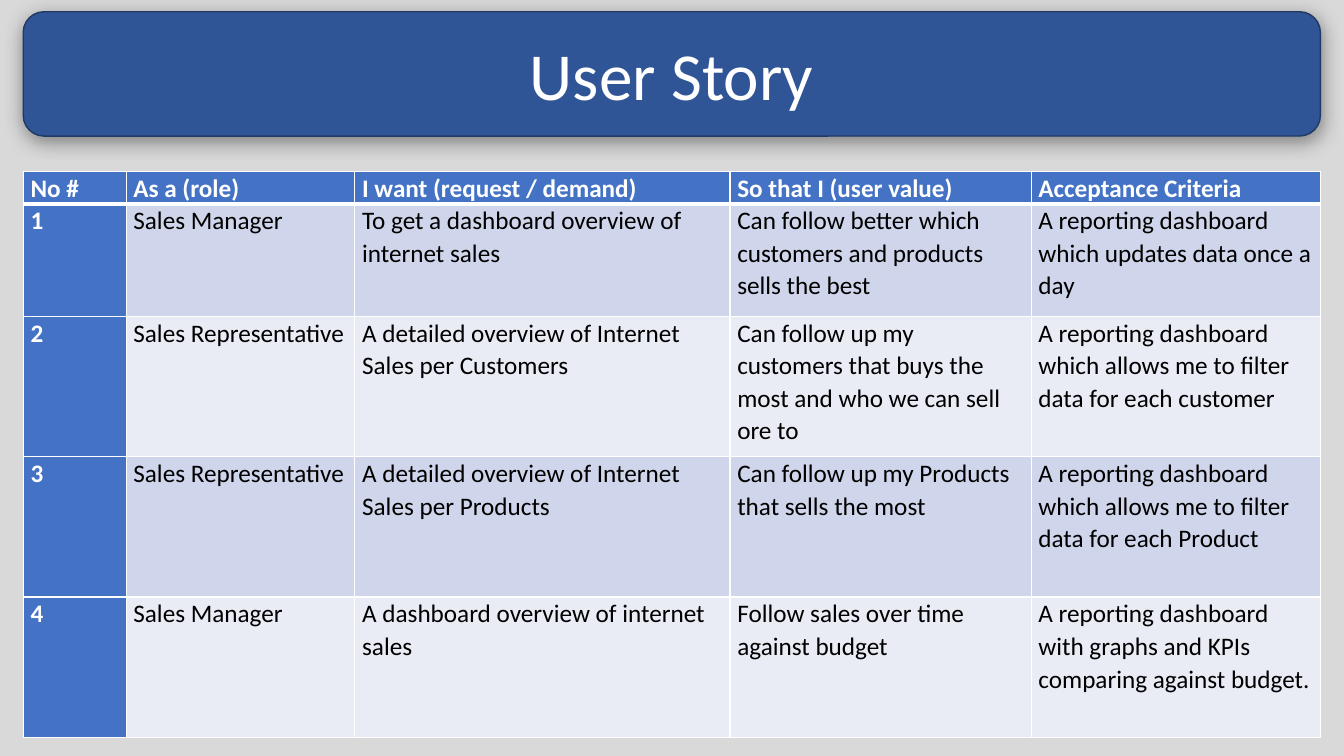
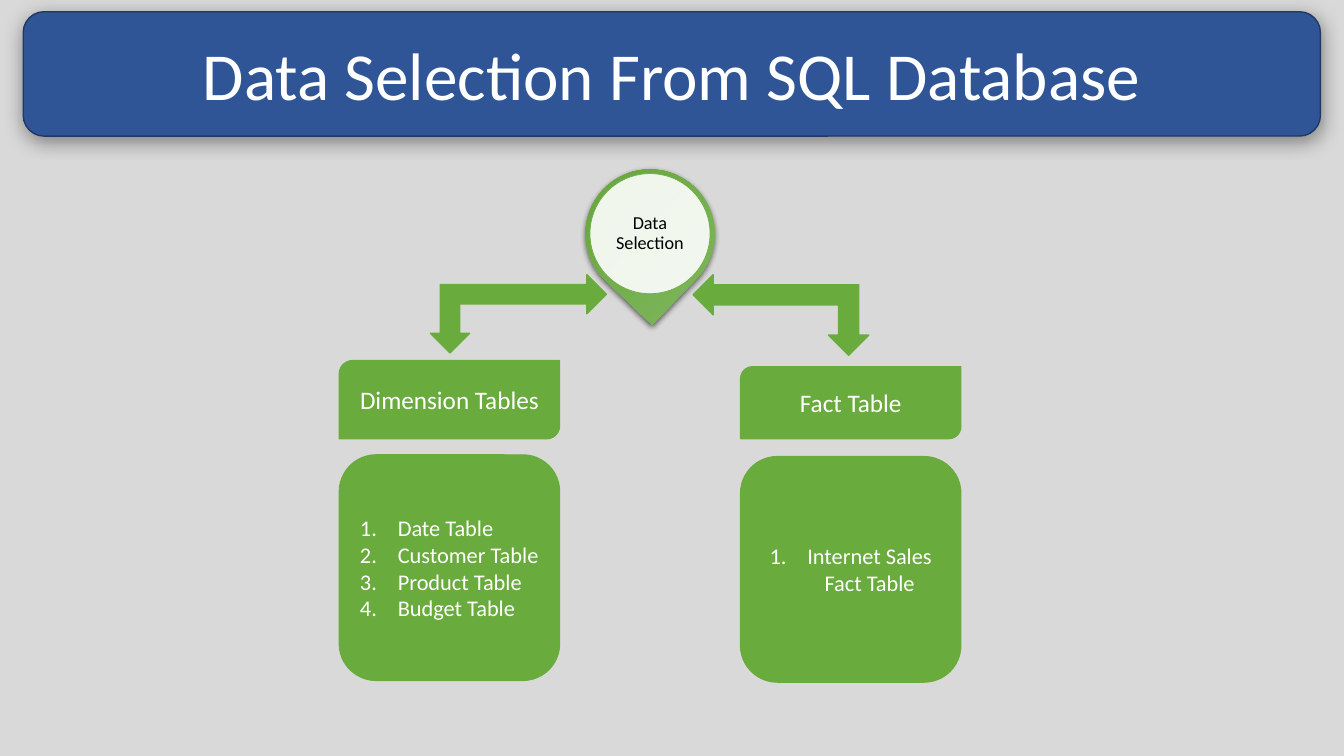
"""Build two slides: a user story table and a data selection diagram."""
from lxml import etree
from pptx import Presentation
from pptx.dml.color import RGBColor
from pptx.enum.shapes import MSO_SHAPE
from pptx.enum.text import MSO_ANCHOR, PP_ALIGN
from pptx.oxml.ns import qn
from pptx.util import Pt

LEFT, CENTER = PP_ALIGN.LEFT, PP_ALIGN.CENTER
MIDDLE = MSO_ANCHOR.MIDDLE
ROUNDED = MSO_SHAPE.ROUNDED_RECTANGLE
DIAGONAL = MSO_SHAPE.ROUND_2_DIAG_RECTANGLE
TEARDROP, OVAL = MSO_SHAPE.TEAR, MSO_SHAPE.OVAL
ELBOW_ARROW = MSO_SHAPE.LEFT_UP_ARROW

FONT = "Calibri"
COLORS = {
    "background": "D9D9D9",
    "title": "2F5597",
    "title_line": "203864",
    "header": "4472C4",
    "odd": "CFD5EA",
    "even": "E9EBF5",
    "green": "69AB3C",
    "ring": "70AD47",
    "drop_top": "81B861",
    "drop_bottom": "62A336",
    "white": "FFFFFF",
    "black": "000000",
}
RGB = {name: RGBColor.from_string(value) for name, value in COLORS.items()}


def write(tf, lines, size=18, color="white", bold=False, align=CENTER,
          spacing=None, numbered=False):
    tf.word_wrap = True
    for i, line in enumerate(lines):
        p = tf.paragraphs[0] if i == 0 else tf.add_paragraph()
        p.alignment = align
        if spacing:
            p.line_spacing = spacing
        if numbered:
            pPr = p._p.get_or_add_pPr()
            pPr.set("marL", str(Pt(27)))
            pPr.set("indent", str(-Pt(27)))
            etree.SubElement(pPr, qn("a:buFont"), typeface="+mj-lt")
            etree.SubElement(pPr, qn("a:buAutoNum"), type="arabicPeriod")
        r = p.add_run()
        r.text = line
        r.font.name = FONT
        r.font.size = Pt(size)
        r.font.bold = bold
        r.font.color.rgb = RGB[color]


def add_block(s, kind, box, fill="green", line="green", width=1, shadow=None):
    sp = s.shapes.add_shape(kind, *map(Pt, box))
    sp.fill.solid()
    sp.fill.fore_color.rgb = RGB[fill]
    if line:
        sp.line.color.rgb = RGB[line]
        sp.line.width = Pt(width)
    else:
        sp.line.fill.background()
    sp.shadow.inherit = False
    if shadow:
        blur, dist, alpha = shadow
        effects = sp.element.spPr.find(qn("a:effectLst"))
        outer = etree.SubElement(
            effects, qn("a:outerShdw"), blurRad=str(Pt(blur)),
            dist=str(Pt(dist)), dir="5400000", algn="ctr", rotWithShape="0")
        clr = etree.SubElement(outer, qn("a:srgbClr"), val=COLORS["black"])
        etree.SubElement(clr, qn("a:alpha"), val=str(alpha * 1000))
    sp.text_frame.vertical_anchor = MIDDLE
    return sp


prs = Presentation()
prs.slide_width, prs.slide_height = Pt(960), Pt(540)
background = prs.slide_master.background.fill
background.solid()
background.fore_color.rgb = RGB["background"]

slides = []
for title in ("User Story", "Data Selection From SQL Database"):
    s = prs.slides.add_slide(prs.slide_layouts[6])
    band = add_block(s, ROUNDED, (16.6, 8.4, 926.6, 88.8), "title",
                     "title_line", shadow=(14, 3, 40))
    write(band.text_frame, [title], size=48)
    slides.append(s)
story, selection = slides

rows = [
    ("No #", "As a (role)", "I want (request / demand)",
     "So that I (user value)", "Acceptance Criteria"),
    ("1", "Sales Manager", "To get a dashboard overview of internet sales",
     "Can follow better which customers and products sells the best",
     "A reporting dashboard which updates data once a day"),
    ("2", "Sales Representative",
     "A detailed overview of Internet Sales per Customers",
     "Can follow up my customers that buys the most and who we can sell ore to",
     "A reporting dashboard which allows me to filter data for each customer"),
    ("3", "Sales Representative",
     "A detailed overview of Internet Sales per Products",
     "Can follow up my Products that sells the most",
     "A reporting dashboard which allows me to filter data for each Product"),
    ("4", "Sales Manager", "A dashboard overview of internet sales",
     "Follow sales over time against budget",
     "A reporting dashboard with graphs and KPIs comparing against budget."),
]
col_widths = (73.5, 163.4, 268, 215.1, 206.6)
row_heights = (19.6, 80.2, 100.3, 100.3, 100.3)
table = story.shapes.add_table(
    len(rows), len(col_widths), Pt(16.6), Pt(122.4),
    Pt(sum(col_widths)), Pt(sum(row_heights))).table
for column, width in zip(table.columns, col_widths):
    column.width = Pt(width)
for i, (texts, height) in enumerate(zip(rows, row_heights)):
    table.rows[i].height = Pt(height)
    for j, text in enumerate(texts):
        cell = table.cell(i, j)
        strong = i == 0 or j == 0
        cell.margin_left = cell.margin_right = Pt(5.2)
        cell.margin_top = cell.margin_bottom = 0
        cell.fill.solid()
        fill = "header" if strong else "odd" if i % 2 else "even"
        cell.fill.fore_color.rgb = RGB[fill]
        write(cell.text_frame, [text], color="white" if strong else "black",
              bold=strong, align=LEFT, spacing=1.06)
        tcPr = cell._tc.get_or_add_tcPr()
        for k, side in enumerate("LRTB"):
            thick = (i, side) in ((0, "B"), (1, "T"))
            ln = etree.Element(qn(f"a:ln{side}"), w=str(Pt(3 if thick else 1)))
            solid = etree.SubElement(ln, qn("a:solidFill"))
            etree.SubElement(solid, qn("a:srgbClr"), val=COLORS["white"])
            tcPr.insert(k, ln)

drop = add_block(selection, TEARDROP, (418.3, 121, 92.2, 92.2), line=None,
                 shadow=(4.5, 1.5, 63))
drop.rotation = 133.7
drop.fill.gradient()
drop.fill.gradient_angle = 270
for stop, color in zip(drop.fill.gradient_stops, ("drop_top", "drop_bottom")):
    stop.color.rgb = RGB[color]

disc = add_block(selection, OVAL, (421.4, 124, 85.8, 85.8), "white", "ring", 0.5)
disc_color = disc.element.spPr.find(qn("a:solidFill"))[0]
etree.SubElement(disc_color, qn("a:alpha"), val="90000")

label = selection.shapes.add_textbox(Pt(433.6), Pt(136.2), Pt(61.2), Pt(61.2))
tf = label.text_frame
tf.margin_left = tf.margin_right = tf.margin_top = tf.margin_bottom = Pt(1.3)
tf.vertical_anchor = MIDDLE
write(tf, ["Data Selection"], size=13, color="black", spacing=0.9)

branches = [
    ("Dimension Tables", 242.4, (257.6, 55.8), 325,
     ["Date Table", "Customer Table", "Product Table", "Budget Table"], LEFT,
     (307.5, 196.2, 125.6, 55.8), ("flipH", "flipV")),
    ("Fact Table", 529, (262, 51.3), 326.2,
     ["Internet Sales Fact Table"], CENTER,
     (495, 196.2, 125.6, 57.6), ("flipV",)),
]
for name, x, (top, height), list_top, items, align, arrow_box, flips in branches:
    head = add_block(selection, DIAGONAL, (x, top, 157.3, height))
    write(head.text_frame, [name])
    body = add_block(selection, ROUNDED, (x, list_top, 157.3, 161))
    write(body.text_frame, items, size=16, align=align, numbered=True)
    arrow = add_block(selection, ELBOW_ARROW, arrow_box)
    for flip in flips:
        arrow.element.spPr.xfrm.set(flip, "1")

prs.save("out.pptx")
